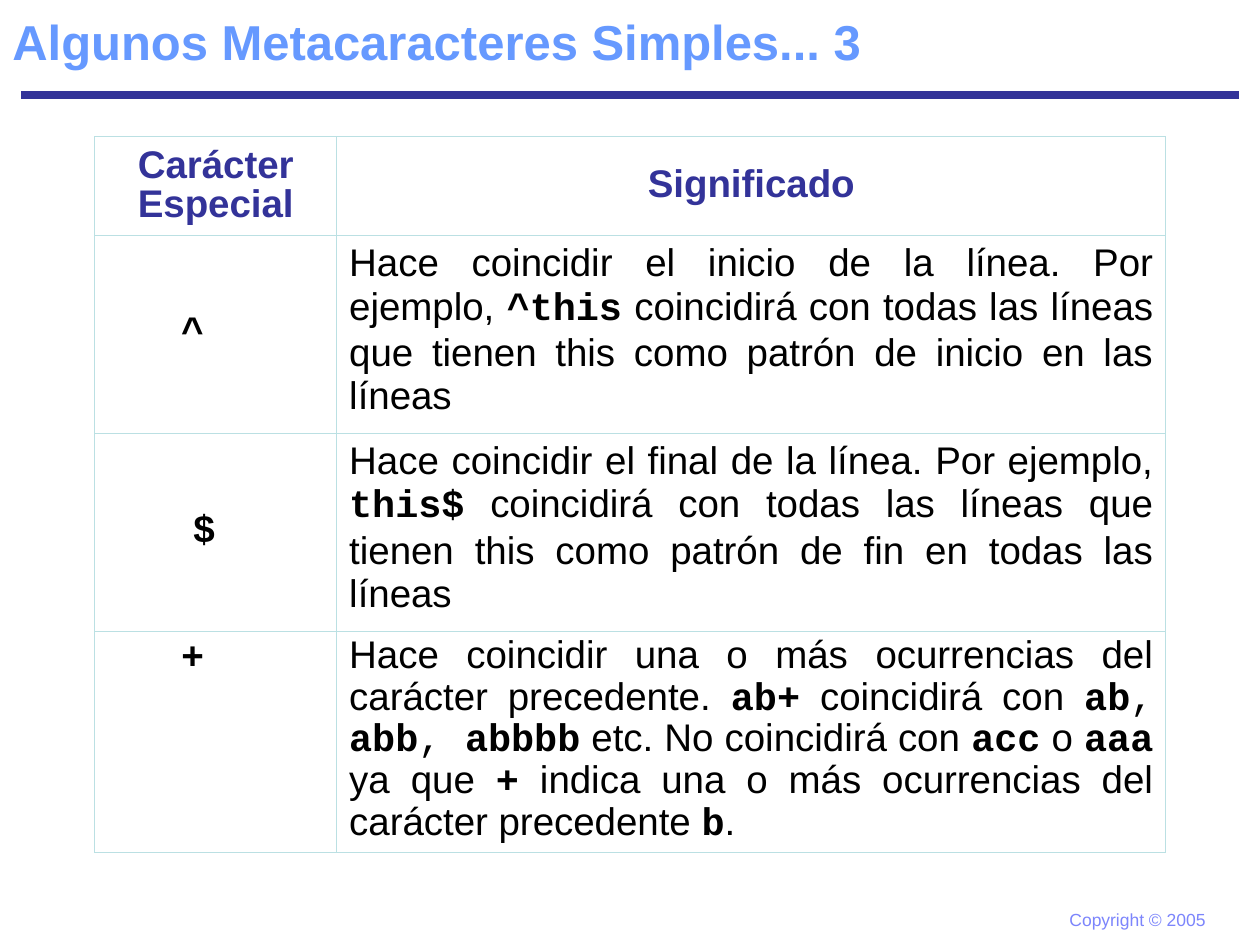
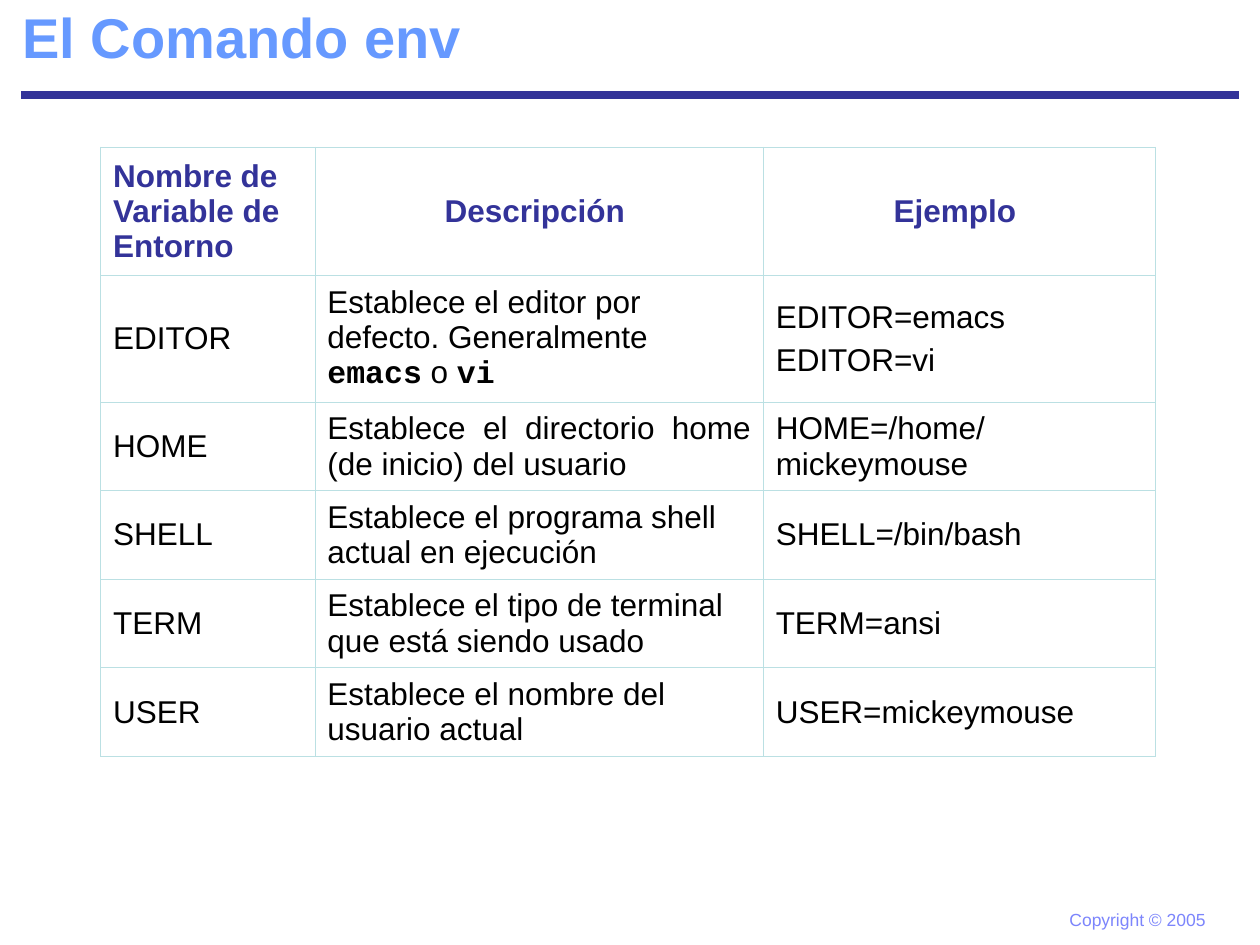
from pptx import Presentation
from pptx.dml.color import RGBColor
from pptx.enum.shapes import MSO_CONNECTOR
from pptx.enum.text import MSO_ANCHOR, PP_ALIGN
from pptx.oxml import parse_xml
from pptx.oxml.ns import nsdecls
from pptx.util import Cm, Pt

STRAIGHT = MSO_CONNECTOR.STRAIGHT
ALIGNS = {"l": PP_ALIGN.LEFT, "c": PP_ALIGN.CENTER, "j": PP_ALIGN.JUSTIFY}
ANCHORS = {"t": MSO_ANCHOR.TOP, "m": MSO_ANCHOR.MIDDLE}

# Shared style
SANS, MONO = "Arial", "Courier New"
NAVY, SKY, LILAC, PALE, BLACK = "333399", "6699FF", "7C85FC", "BBE0E3", "000000"
PAD_X, PAD_Y = Cm(0.25), Cm(0.13)


def color(code):
    return RGBColor.from_string(code)


class Deck:
    def __init__(self):
        self.prs = Presentation()
        self.prs.slide_width = Cm(25.4)
        self.prs.slide_height = Cm(19.05)
        self.slide = None

    def page(self, title, left, top, high, size):
        """Start a slide with its title, rule and footer."""
        self.slide = self.prs.slides.add_slide(self.prs.slide_layouts[6])
        self.rule(0.43, 24.97, 1.91)
        self.text("Copyright © 2005", 21.31, 18.21, 3.25, 0.69, 10, LILAC, wrap=False)
        self.text(title, left, top, 21.59, high, size, SKY, bold=True, anchor="m")

    def rule(self, left, right, top):
        line = self.slide.shapes.add_connector(
            STRAIGHT, Cm(left), Cm(top), Cm(right), Cm(top))
        line.line.color.rgb = color(NAVY)
        line.line.width = Pt(4.5)
        line._element.spPr.append(parse_xml(f"<a:effectLst {nsdecls('a')}/>"))

    def text(self, words, left, top, wide, high, size, ink,
             bold=False, wrap=True, anchor="t"):
        box = self.slide.shapes.add_textbox(Cm(left), Cm(top), Cm(wide), Cm(high))
        frame = box.text_frame
        frame.word_wrap = wrap
        frame.vertical_anchor = ANCHORS[anchor]
        frame.text = words
        self.font(frame.paragraphs[0].runs[0], size, ink, bold)

    def font(self, run, size, ink, bold, face=SANS):
        run.font.name = face
        run.font.size = Pt(size)
        run.font.bold = bold
        run.font.color.rgb = color(ink)

    def table(self, left, top, cols, rows, size, gap):
        """Each row is (height, aligns, anchors, line spacing, cell texts)."""
        high = sum(row[0] for row in rows)
        grid = self.slide.shapes.add_table(
            len(rows), len(cols), Cm(left), Cm(top), Cm(sum(cols)), Cm(high)).table
        grid.horz_banding = False
        for col, wide in zip(grid.columns, cols):
            col.width = Cm(wide)
        for y, (tall, aligns, anchors, lead, texts) in enumerate(rows):
            grid.rows[y].height = Cm(tall)
            for x, words in enumerate(texts):
                cell = grid.cell(y, x)
                self.edges(cell)
                cell.fill.background()
                cell.vertical_anchor = ANCHORS[anchors[x]]
                cell.margin_left = cell.margin_right = PAD_X
                cell.margin_top = cell.margin_bottom = PAD_Y
                self.fill(cell.text_frame, words, size, gap, y == 0,
                          ALIGNS[aligns[x]], lead)
        return grid

    def edges(self, cell):
        props = cell._tc.get_or_add_tcPr()
        for side in "LRTB":
            props.append(parse_xml(
                f'<a:ln{side} {nsdecls("a")} w="5715"><a:solidFill>'
                f'<a:srgbClr val="{PALE}"/></a:solidFill></a:ln{side}>'))

    def fill(self, frame, words, size, gap, head, align, lead):
        """Write a cell; parts between backticks are code."""
        for n, part in enumerate(words.split("\n")):
            para = frame.add_paragraph() if n else frame.paragraphs[0]
            para.alignment = align
            para.line_spacing = lead
            if n:
                para.space_before = Pt(gap)
            for k, piece in enumerate(part.split("`")):
                if not piece:
                    continue
                code = k % 2 == 1
                run = para.add_run()
                run.text = piece
                self.font(run, size, NAVY if head else BLACK,
                          head or (code and piece != ", "),
                          MONO if code else SANS)


def main():
    deck = Deck()

    # Metacharacters
    deck.page("Algunos Metacaracteres Simples... 3", 0, 0.2, 1.27, 28)
    signs = deck.table(1.91, 2.75, [4.88, 16.71], [
        (2, "cc", "mm", 0.9, ["Carácter Especial", "Significado"]),
        (3.99, "cj", "mt", 1, [
            "`^`",
            "Hace coincidir el inicio de la línea. Por ejemplo, `^this` coincidirá "
            "con todas las líneas que tienen this como patrón de inicio en las líneas"]),
        (3.99, "cj", "mt", 1, [
            "`$`",
            "Hace coincidir el final de la línea. Por ejemplo, `this$` coincidirá "
            "con todas las líneas que tienen this como patrón de fin en todas las líneas"]),
        (4.45, "cj", "tt", 0.9, [
            "`+`",
            "Hace coincidir una o más ocurrencias del carácter precedente. `ab+` "
            "coincidirá con `ab``, ``abb``, ``abbbb` etc. No coincidirá con `acc` o "
            "`aaa` ya que `+` indica una o más ocurrencias del carácter "
            "precedente `b`."]),
    ], 22, 5.5)
    # Signs sit a little left of the column centre
    for y, shift in enumerate([0.93, 0.47, 0.93], 1):
        signs.cell(y, 0).margin_right = PAD_X + Cm(shift)

    # Environment variables
    deck.page("El Comando env", 0.2, 0, 1.47, 32)
    names = [
        (2.54, "llj", ["EDITOR",
                       "Establece el editor por defecto. Generalmente `emacs` o `vi`",
                       "EDITOR=emacs\nEDITOR=vi"]),
        (1.78, "jjj", ["HOME", "Establece el directorio home (de inicio) del usuario",
                       "HOME=/home/mickeymouse"]),
        (1.78, "lll", ["SHELL", "Establece el programa shell actual en ejecución",
                       "SHELL=/bin/bash"]),
        (1.78, "lll", ["TERM", "Establece el tipo de terminal que está siendo usado",
                       "TERM=ansi"]),
        (1.78, "lll", ["USER", "Establece el nombre del usuario actual",
                       "USER=mickeymouse"]),
    ]
    head = (2.59, "lcc", ["Nombre de Variable de Entorno", "Descripción ", "Ejemplo "])
    rows = [(tall, aligns, "mmm", 1, texts) for tall, aligns, texts in [head] + names]
    deck.table(2.03, 2.97, [4.32, 9.04, 7.9], rows, 18, 4.5)

    deck.prs.save("out.pptx")


if __name__ == "__main__":
    main()
